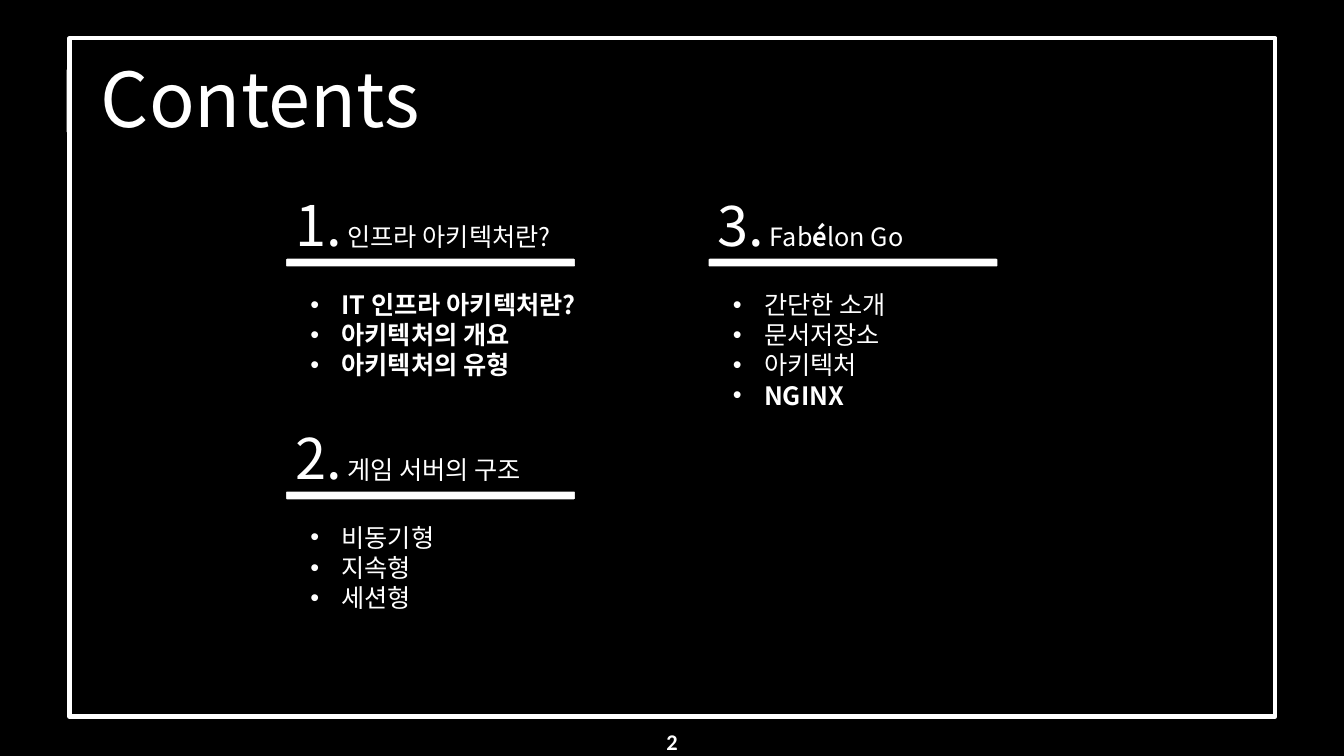
import pptx
import pptx.util
import pptx.dml.color
import pptx.enum.shapes
import pptx.enum.text
import pptx.oxml.ns
import lxml.etree

Inches, Pt = pptx.util.Inches, pptx.util.Pt
SHAPE = pptx.enum.shapes.MSO_SHAPE
ALIGN = pptx.enum.text.PP_ALIGN
ANCHOR = pptx.enum.text.MSO_ANCHOR
qn = pptx.oxml.ns.qn

COLORS = {"back": "000000", "ink": "FFFFFF"}
NOTO, CALIBRI = "Noto Sans CJK KR", "Calibri"
W, H = 13.33, 7.5
COLS, ROWS = (2.83, 7.02), (1.84, 4.15)
RULE_W, INDENT = 2.88, 0.31

# column, row, number, heading runs (text, bold), list width, items (text, font, bold)
SECTIONS = [
    (0, 0, "1.", [(" 인프라 아키텍처란?", False)], 2.95,
     [("IT 인프라 아키텍처란?", NOTO, True), ("아키텍처의 개요", NOTO, True),
      ("아키텍처의 유형", NOTO, True)]),
    (1, 0, "3.", [(" Fab", False), ("é", True), ("lon Go", False)], 2.22,
     [("간단한 소개", CALIBRI, False), ("문서저장소", CALIBRI, False),
      ("아키텍처", CALIBRI, False), ("NGINX", NOTO, True)]),
    (0, 1, "2.", [(" 게임 서버의 구조", False)], 2.22,
     [("비동기형", CALIBRI, False), ("지속형", CALIBRI, False),
      ("세션형", CALIBRI, False)]),
]


def rgb(name):
    return pptx.dml.color.RGBColor.from_string(COLORS[name])


def style(r, size, font=NOTO, bold=False):
    r.font.size, r.font.name, r.font.bold = Pt(size), font, bold
    r.font.color.rgb = rgb("ink")
    # Hangul takes its face from the East Asian font
    ea = lxml.etree.Element(qn("a:ea"), typeface=NOTO)
    r.font._element.find(qn("a:latin")).addnext(ea)


def add_run(p, text, size, font=NOTO, bold=False):
    r = p.add_run()
    r.text = text
    style(r, size, font, bold)


def add_box(s, kind, x, y, w, h, fill=None, line=None, weight=1):
    sp = s.shapes.add_shape(kind, Inches(x), Inches(y), Inches(w), Inches(h))
    sp.shadow.inherit = False
    for part, color in ((sp.fill, fill), (sp.line.fill, line)):
        if color:
            part.solid()
            part.fore_color.rgb = rgb(color)
        else:
            part.background()
    if line:
        sp.line.width = Pt(weight)


def add_text(s, x, y, w, h, wrap=True):
    tf = s.shapes.add_textbox(Inches(x), Inches(y), Inches(w), Inches(h)).text_frame
    tf.word_wrap = wrap
    return tf


def add_bullet(p):
    pPr = p._p.get_or_add_pPr()
    pPr.set("marL", str(Inches(INDENT)))
    pPr.set("indent", str(-Inches(INDENT)))
    lxml.etree.SubElement(pPr, qn("a:buFont"), typeface="Arial")
    lxml.etree.SubElement(pPr, qn("a:buChar"), char="•")


def frame(s, x, y, w, h):
    add_box(s, SHAPE.RECTANGLE, x, y, w, h, line="ink", weight=3)
    add_box(s, SHAPE.RECTANGLE, x - 0.03, y + 0.31, 0.05, 0.62, fill="ink")


def title(s, x, y, w, h):
    sp = s.shapes.title
    sp.left, sp.top, sp.width, sp.height = map(Inches, (x, y, w, h))
    tf = sp.text_frame
    tf.text = "Contents"
    tf.vertical_anchor = ANCHOR.BOTTOM
    p = tf.paragraphs[0]
    p.alignment, p.line_spacing = ALIGN.LEFT, 0.9
    style(p.runs[0], 54)


def section(s, x, y, number, heading, list_w, items):
    # Heading over its rule
    add_box(s, SHAPE.ROUNDED_RECTANGLE, x, y + 0.72, RULE_W, 0.09, "ink", "back")
    p = add_text(s, x, y, RULE_W, 0.77, wrap=False).paragraphs[0]
    add_run(p, number, 40)
    for text, bold in heading:
        add_run(p, text, 18, bold=bold)

    # Bulleted list
    tf = add_text(s, x + 0.15, y + 0.98, list_w, 0.1 + 0.3 * len(items))
    for i, (text, font, bold) in enumerate(items):
        p = tf.add_paragraph() if i else tf.paragraphs[0]
        add_bullet(p)
        add_run(p, text, 18, font, bold)


def page_number(s, x, y, w, h):
    p = add_text(s, x, y, w, h).paragraphs[0]
    p.alignment = ALIGN.CENTER
    add_run(p, "2", 16, CALIBRI, True)


def main():
    prs = pptx.Presentation()
    prs.slide_width, prs.slide_height = Inches(W), Inches(H)
    s = prs.slides.add_slide(prs.slide_layouts[5])
    s.background.fill.solid()
    s.background.fill.fore_color.rgb = rgb("back")

    frame(s, 0.69, 0.38, 11.96, 6.73)
    title(s, 0.9, 0.56, 4.08, 0.92)
    for col, row, *content in SECTIONS:
        section(s, COLS[col], ROWS[row], *content)
    page_number(s, 0, 7.17, W, 0.37)
    prs.save("out.pptx")


if __name__ == "__main__":
    main()
